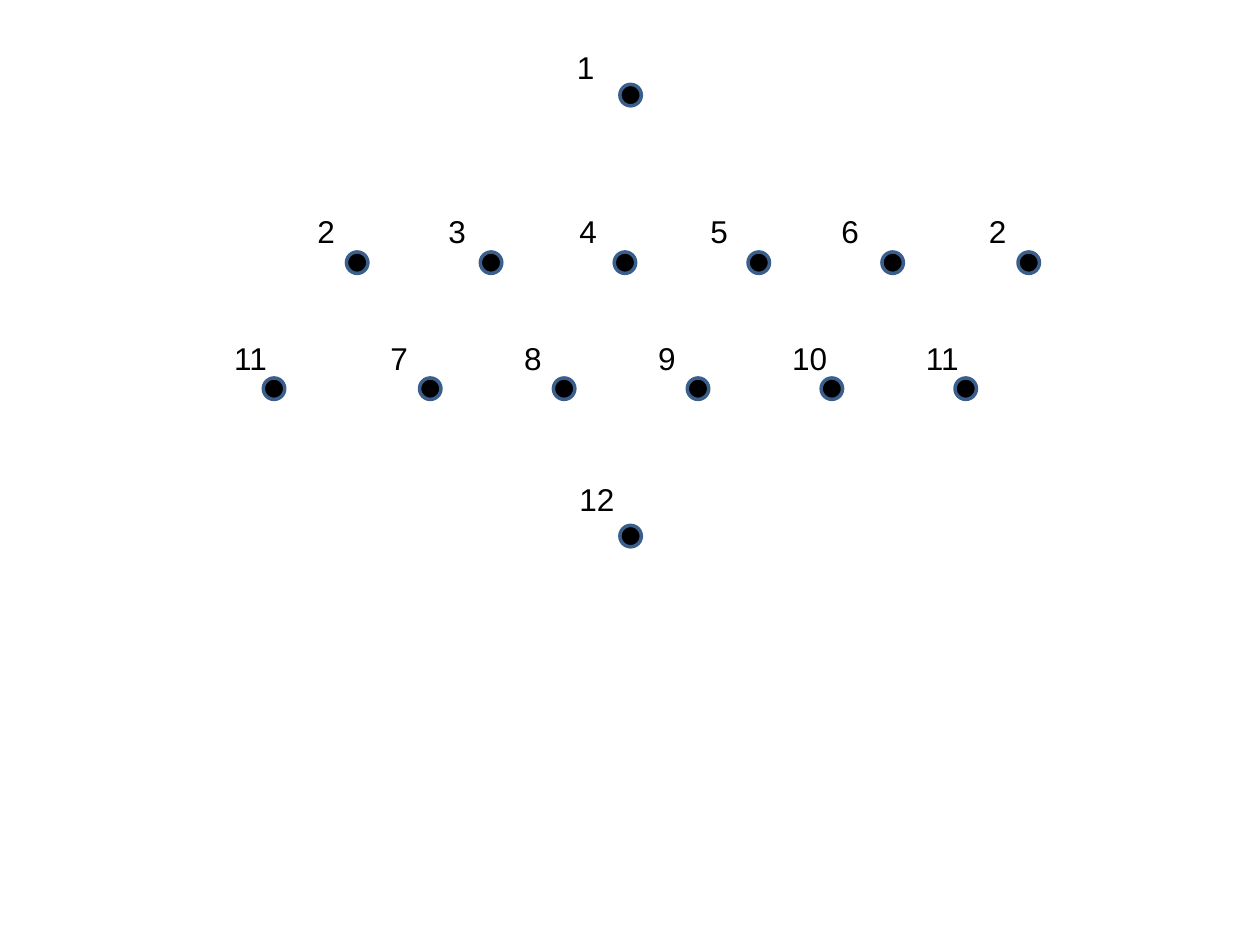
from pptx import Presentation
from pptx.dml.color import RGBColor
from pptx.enum.shapes import MSO_SHAPE
from pptx.enum.text import MSO_AUTO_SIZE
from pptx.util import Inches, Pt

OVAL = MSO_SHAPE.OVAL
FIT_SHAPE = MSO_AUTO_SIZE.SHAPE_TO_FIT_TEXT

COLORS = {"dot": "000000", "outline": "3A5F8C", "text": "000000"}
DOT_SIZE = 0.17
LABEL_HEIGHT = 0.4


def color(name):
    return RGBColor.from_string(COLORS[name])


def spread(first, last, count):
    """Evenly spaced positions from first to last."""
    return [first + i * (last - first) / (count - 1) for i in range(count)]


def add_dot(slide, left, top):
    sp = slide.shapes.add_shape(OVAL, Inches(left), Inches(top),
                                Inches(DOT_SIZE), Inches(DOT_SIZE))
    sp.shadow.inherit = False
    sp.fill.solid()
    sp.fill.fore_color.rgb = color("dot")
    sp.line.color.rgb = color("outline")
    sp.line.width = Pt(2)


def add_label(slide, text, left, top):
    width = 0.2 + 0.14 * len(text)
    sp = slide.shapes.add_textbox(Inches(left), Inches(top),
                                  Inches(width), Inches(LABEL_HEIGHT))
    tf = sp.text_frame
    tf.word_wrap = False
    tf.auto_size = FIT_SHAPE
    p = tf.paragraphs[0]
    p.text = text
    p.font.name = "Arial"
    p.font.size = Pt(18)
    p.font.color.rgb = color("text")


def add_row(slide, labels, dot_lefts, label_lefts, dot_top, label_top):
    for text, dot_left, label_left in zip(labels, dot_lefts, label_lefts):
        add_dot(slide, dot_left, dot_top)
        add_label(slide, text, label_left, label_top)


def main():
    prs = Presentation()
    prs.slide_width, prs.slide_height = Inches(10), Inches(7.5)
    slide = prs.slides.add_slide(prs.slide_layouts[6])

    # Top vertex
    add_row(slide, ["1"], [4.92], [4.48], 0.67, 0.33)

    # Upper ring: five vertices, then the first one repeated on the right
    add_row(slide, ["2", "3", "4", "5", "6", "2"],
            spread(2.75, 7, 5) + [8.08],
            spread(2.42, 6.58, 5) + [7.75], 2, 1.63)

    # Lower ring: the last vertex repeated on the left, then five vertices
    add_row(slide, ["11", "7", "8", "9", "10", "11"],
            [2.09] + spread(3.33, 7.58, 5),
            [1.76] + spread(3, 7.25, 5), 3, 2.64)

    # Bottom vertex
    add_row(slide, ["12"], [4.92], [4.5], 4.17, 3.76)

    prs.save("out.pptx")


if __name__ == "__main__":
    main()
